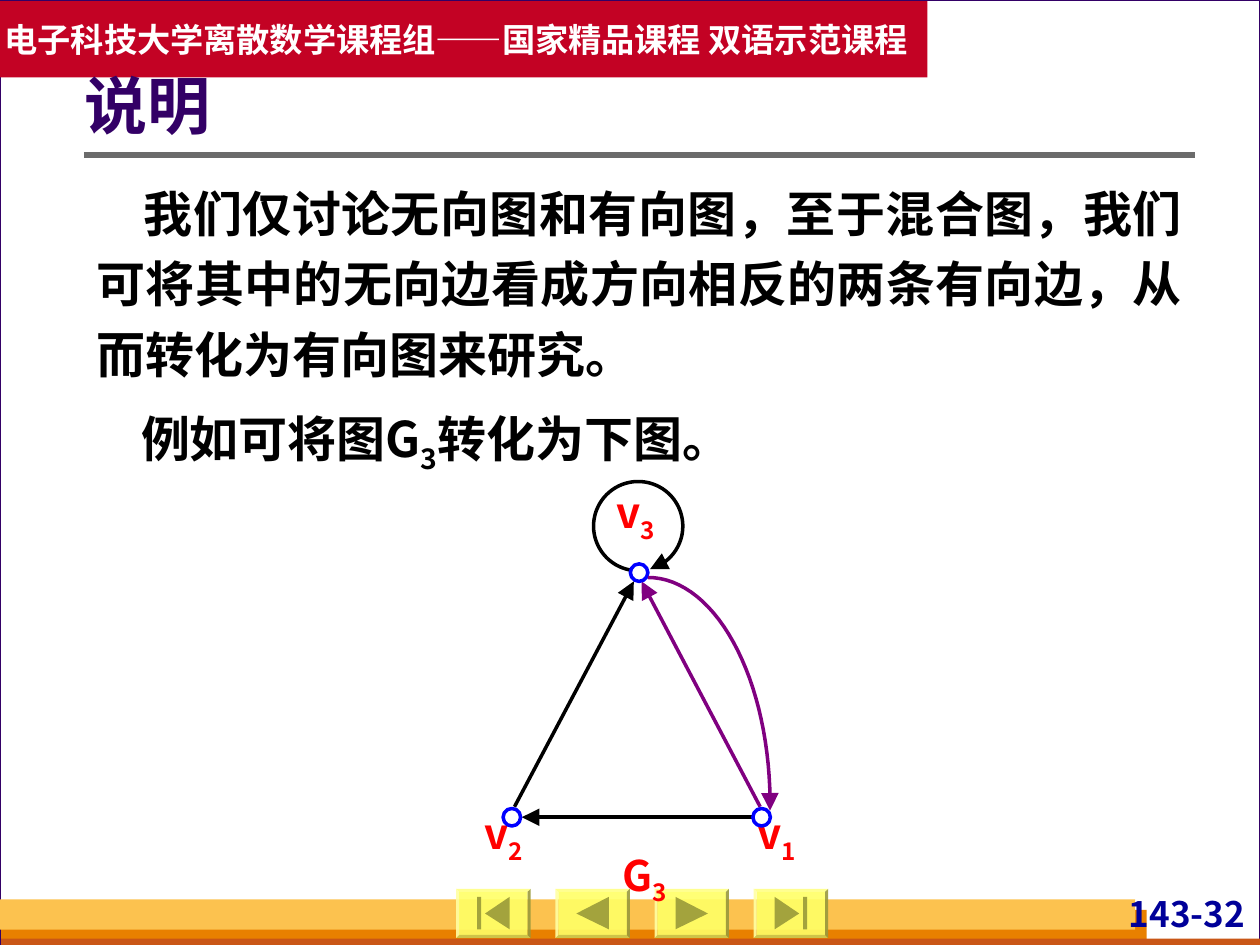
import math
from dataclasses import dataclass

import pptx
import pptx.dml.color
import pptx.enum.shapes
import pptx.enum.text
import pptx.oxml.ns
import pptx.util
from lxml import etree

Pt = pptx.util.Pt
SHAPE = pptx.enum.shapes.MSO_SHAPE
ALIGN = pptx.enum.text.PP_ALIGN
MIDDLE = pptx.enum.text.MSO_ANCHOR.MIDDLE


@dataclass(frozen=True)
class Theme:
    font: str = "Noto Sans CJK SC"
    backdrop: str = "D8DADA"
    white: str = "FFFFFF"
    black: str = "000000"
    indigo: str = "330066"
    orange: str = "E88000"
    rust: str = "C95616"
    amber: str = "FCC24F"
    crimson: str = "C30224"
    rule: str = "6B6B6B"
    button: str = "FFFF66"
    icon: str = "A3A33D"
    page: str = "000099"
    label: str = "FF0000"
    purple: str = "800080"
    vertex: str = "0000FF"
    header_size: float = 19
    title_size: float = 36
    body_size: float = 28
    label_size: float = 24
    page_size: float = 20


THEME = Theme()


def rgb(code):
    return pptx.dml.color.RGBColor.from_string(code)


def add_child(parent, tag, **attributes):
    return etree.SubElement(parent, pptx.oxml.ns.qn(tag), attributes)


def paint(shape, fill=None, line=None, width=0.75):
    shape.shadow.inherit = False
    if fill:
        shape.fill.solid()
        shape.fill.fore_color.rgb = rgb(fill)
    else:
        shape.fill.background()
    if line:
        shape.line.color.rgb = rgb(line)
        shape.line.width = Pt(width)
    else:
        shape.line.fill.background()
    return shape


def block(shapes, kind, box, *style):
    return paint(shapes.add_shape(kind, *map(Pt, box)), *style)


def straight(shapes, start, end, color, width):
    line = shapes.add_connector(pptx.enum.shapes.MSO_CONNECTOR.STRAIGHT,
                                *map(Pt, (*start, *end)))
    line.line.color.rgb = rgb(color)
    line.line.width = Pt(width)
    add_child(line._element.spPr, "a:effectLst")
    return line


def add_arrowhead(line):
    add_child(line.line._get_or_add_ln(), "a:tailEnd", type="triangle", w="lg", len="lg")


def outline(shapes, contours, close):
    """Build one freeform from lists of points."""
    first, *others = [[(Pt(x), Pt(y)) for x, y in c] for c in contours]
    builder = shapes.build_freeform(*first[0], scale=1.0)
    builder.add_line_segments(first[1:], close=close)
    for contour in others:
        builder.move_to(*contour[0])
        builder.add_line_segments(contour[1:], close=close)
    return builder.convert_to_shape()


def arc_arrow(shapes, center, radii, start, end, color):
    """Draw a clockwise elliptical arc, in degrees, with an arrowhead at its end."""
    steps = math.ceil((end - start) / 3)
    angles = [math.radians(start + (end - start) * i / steps) for i in range(steps + 1)]
    points = [(center[0] + radii[0] * math.cos(a), center[1] + radii[1] * math.sin(a))
              for a in angles]
    add_arrowhead(paint(outline(shapes, [points], False), None, color, 2))


def set_frame(shape, insets, anchor=None):
    frame = shape.text_frame
    frame.word_wrap = True
    frame.margin_left, frame.margin_top, frame.margin_right, frame.margin_bottom = map(Pt, insets)
    if anchor is not None:
        frame.vertical_anchor = anchor
    return frame


def add_run(paragraph, text, size, color, subscript=False):
    run = paragraph.add_run()
    run.text = text
    run.font.size = Pt(size)
    run.font.bold = True
    run.font.color.rgb = rgb(color)
    run.font.name = THEME.font
    properties = run._r.get_or_add_rPr()
    add_child(properties, "a:ea", typeface=THEME.font)
    if subscript:
        properties.set("baseline", "-25000")


def text_box(shapes, box, insets, anchor=None):
    return set_frame(shapes.add_textbox(*map(Pt, box)), insets, anchor)


def draw_backdrop(slide, width, height):
    slide.background.fill.solid()
    slide.background.fill.fore_color.rgb = rgb(THEME.backdrop)
    block(slide.shapes, SHAPE.RECTANGLE, (0, 0, width, height), THEME.white, THEME.indigo)
    for box, color in (((0.7, height - 20, 654.5, 20), THEME.orange),
                       ((0.7, height - 3.6, width - 0.7, 3.6), THEME.rust),
                       ((0, height - 26, 648.7, 17.3), THEME.amber)):
        block(slide.shapes, SHAPE.RECTANGLE, box, color)


def draw_header(slide, box):
    banner = block(slide.shapes, SHAPE.RECTANGLE, box, THEME.crimson)
    paragraph = set_frame(banner, (2.6, 3.6, 3, 3.6), MIDDLE).paragraphs[0]
    paragraph.alignment = ALIGN.LEFT
    add_run(paragraph, "电子科技大学离散数学课程组——国家精品课程 双语示范课程",
            THEME.header_size, THEME.white)


def draw_title(slide, box):
    left, top, width, _ = box
    straight(slide.shapes, (left, top + 62.6), (left + width, top + 62.6), THEME.rule, 3)
    paragraph = text_box(slide.shapes, box, (0.4, 3.6, 7.2, 3.6), MIDDLE).paragraphs[0]
    paragraph.line_spacing = 0.9
    add_run(paragraph, "说明", THEME.title_size, THEME.indigo)


def draw_body(slide, box):
    frame = text_box(slide.shapes, box, (7.2, 3.6, 7.2, 3.6))
    explanation = frame.paragraphs[0]
    example = frame.add_paragraph()
    example.space_before = Pt(7)
    for paragraph, indent in ((explanation, 27), (example, 25.5)):
        paragraph.alignment = ALIGN.JUSTIFY
        paragraph.line_spacing = 1.2
        paragraph._p.get_or_add_pPr().set("indent", str(Pt(indent)))
    style = THEME.body_size, THEME.black
    add_run(explanation, "我们仅讨论无向图和有向图，至于混合图，我们可将其中的无向边看成"
                         "方向相反的两条有向边，从而转化为有向图来研究。", *style)
    add_run(example, "例如可将图G", *style)
    add_run(example, "3", *style, subscript=True)
    add_run(example, "转化为下图。", *style)


def draw_button(slide, box, forward, to_end):
    left, top, width, height = box
    face = block(slide.shapes, SHAPE.BEVEL, box, THEME.button)
    face.adjustments[0] = 0.06
    color = face.fill._xPr.find(".//" + pptx.oxml.ns.qn("a:srgbClr"))
    add_child(color, "a:alpha", val="90000")
    low, high = 4.5, 23
    apex = 16.5 if to_end else 12
    icon = [[(apex, height / 2), (30.5, low), (30.5, high)]]
    if to_end:
        icon.append([(12, low), (14.2, low), (14.2, high), (12, high)])
    placed = [[(left + (width - x if forward else x), top + y) for x, y in part]
              for part in icon]
    paint(outline(slide.shapes, placed, True), THEME.icon)


def draw_navigation(slide, box):
    left, top, width, height = box
    button_width = 42.5
    step = (width - button_width) / 3
    for i, (forward, to_end) in enumerate(((False, True), (False, False),
                                           (True, False), (True, True))):
        draw_button(slide, (left + i * step, top, button_width, height), forward, to_end)


def draw_page_number(slide, box):
    paragraph = text_box(slide.shapes, box, (3, 0, 3, 0)).paragraphs[0]
    paragraph.alignment = ALIGN.RIGHT
    add_run(paragraph, "143-32", THEME.page_size, THEME.page)


def draw_graph(slide, left, top):
    """Draw the directed graph G3 with its loop and its pair of opposite edges."""
    shapes = slide.shapes.add_group_shape().shapes

    def at(x, y):
        return left + x, top + y

    arc_arrow(shapes, at(25.5 + 72, 25.5), (25.5, 25.5), 97, 434.5, THEME.black)
    for start, end, color in (((164.2, 191.8), (31, 191.8), THEME.black),
                              ((167.2, 185.8), (99.4, 57), THEME.purple),
                              ((26.8, 185.8), (95, 57), THEME.black)):
        add_arrowhead(straight(shapes, at(*start), at(*end), color, 2))
    for name, index, x, y, width in (("v", "3", 75.6, 2.9, 41), ("G", "3", 75.6, 210.2, 51),
                                     ("v", "2", 0, 186.5, 41), ("v", "1", 156.2, 186.5, 41)):
        paragraph = text_box(shapes, (*at(x, y), width, 33), (0, 0, 0, 0)).paragraphs[0]
        paragraph.alignment = ALIGN.CENTER
        add_run(paragraph, name, THEME.label_size, THEME.label)
        add_run(paragraph, index, THEME.label_size, THEME.label, subscript=True)
    radius = 5
    for x, y in ((98, 52), (25.3, 191.8), (168, 191.8)):
        block(shapes, SHAPE.OVAL, (*at(x - radius, y - radius), 2 * radius, 2 * radius),
              THEME.white, THEME.vertex, 2)
    arc_arrow(shapes, at(103.1, 184.4), (69.8, 129.6), 270, 361.6, THEME.purple)


def main():
    deck = pptx.Presentation()
    deck.slide_width, deck.slide_height = Pt(720), Pt(540)
    slide = deck.slides.add_slide(deck.slide_layouts[6])
    draw_backdrop(slide, 720, 540)
    draw_page_number(slide, (626.5, 510, 88, 27))
    draw_navigation(slide, (260.7, 508, 212.5, 28))
    draw_header(slide, (0, 0.7, 530, 43.5))
    draw_title(slide, (48, 26, 635, 72.7))
    draw_body(slide, (48, 94.3, 635, 181.4))
    draw_graph(slide, 267.2, 275.2)
    deck.save("out.pptx")


if __name__ == "__main__":
    main()
